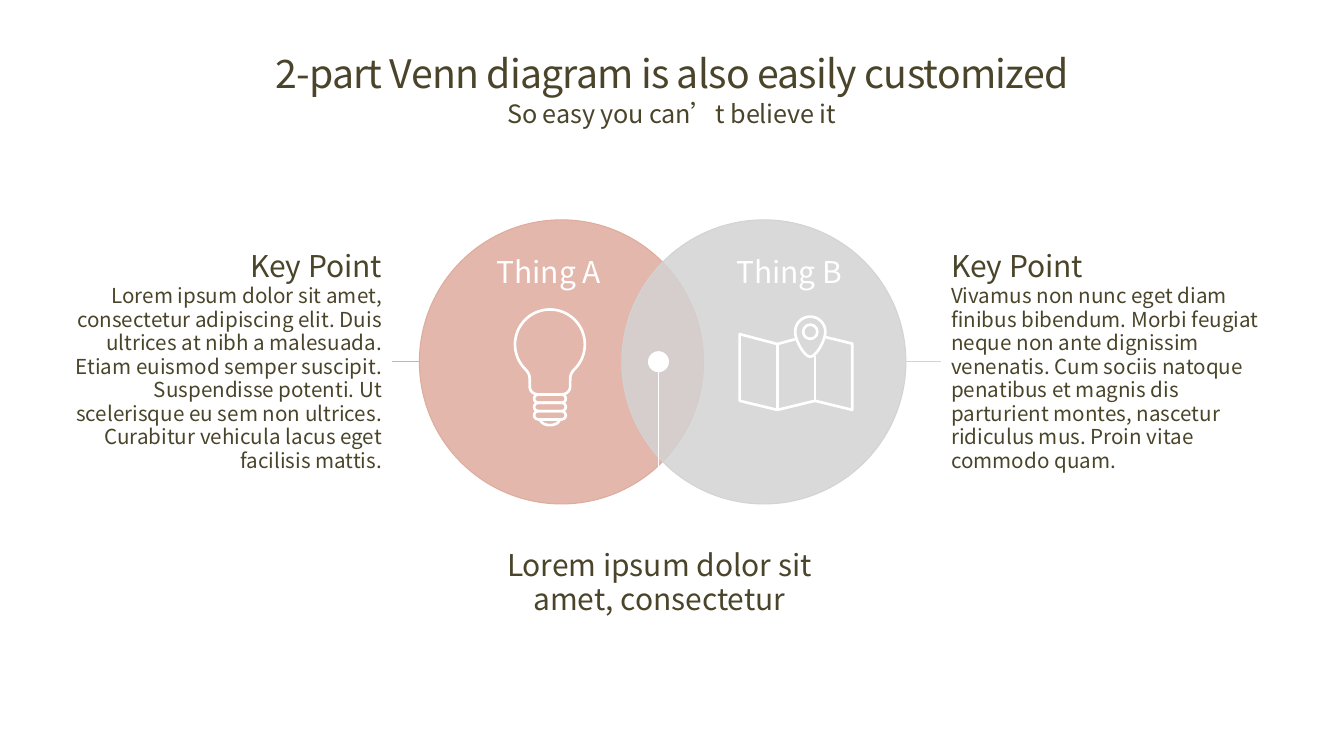
import math

from lxml import etree
from pptx import Presentation
from pptx import util as u
from pptx.dml.color import RGBColor
from pptx.enum import shapes, text
from pptx.oxml.ns import qn

OLIVE = RGBColor(0x4A, 0x45, 0x2A)
ROSE = RGBColor(0xDF, 0xAB, 0x9D)
GREY = RGBColor(0xD3, 0xD3, 0xD3)
WHITE = RGBColor(0xFF, 0xFF, 0xFF)

LEFT, CENTER, RIGHT = text.PP_ALIGN.LEFT, text.PP_ALIGN.CENTER, text.PP_ALIGN.RIGHT
TOP, MIDDLE = text.MSO_ANCHOR.TOP, text.MSO_ANCHOR.MIDDLE
OVAL = shapes.MSO_SHAPE.OVAL
PILL = shapes.MSO_SHAPE.ROUNDED_RECTANGLE


def bezier(start, control_1, control_2, end, steps=12):
    """Points along a cubic curve, without its start."""
    points = []
    for step in range(1, steps + 1):
        t = step / steps
        weights = ((1 - t) ** 3, 3 * t * (1 - t) ** 2, 3 * t * t * (1 - t), t ** 3)
        corners = (start, control_1, control_2, end)
        points.append(tuple(sum(w * c[axis] for w, c in zip(weights, corners))
                            for axis in (0, 1)))
    return points


def arc_from_top(radius, degrees, steps=30):
    """Points clockwise from the top of a circle around the origin."""
    angles = [math.radians(degrees * step / steps) for step in range(steps + 1)]
    return [(radius * math.sin(a), -radius * math.cos(a)) for a in angles]


def mirrored(right_half):
    return right_half + [(-x, y) for x, y in reversed(right_half)]


class Deck:
    """Style and current slide; all lengths are centimetres."""
    font_name = "Noto Sans CJK SC"
    hairline = u.Pt(0.75)
    icon_stroke = u.Pt(1.9)

    def __init__(self, slide):
        self.slide = slide

    def fill_text(self, frame, lines, align, color=OLIVE, anchor=TOP,
                  line_spacing=0.95, inset=None, tracking=None):
        """Fill a frame with (text, size) lines."""
        frame.word_wrap = True
        frame.vertical_anchor = anchor
        if inset is not None:
            frame.margin_left = frame.margin_right = u.Cm(inset)
            frame.margin_top = frame.margin_bottom = u.Cm(inset)
        frame.text = "\n".join(line for line, size in lines)
        for paragraph, (line, size) in zip(frame.paragraphs, lines):
            paragraph.alignment = align
            paragraph.line_spacing = line_spacing
            for run in paragraph.runs:
                run.font.size = u.Pt(size)
                run.font.name = self.font_name
                run.font.color.rgb = color
                properties = run.font._element
                etree.SubElement(properties, qn("a:ea"), typeface=self.font_name)
                if tracking:
                    properties.set("spc", str(tracking))

    def label(self, left, top, width, height, lines, align, **style):
        box = self.slide.shapes.add_textbox(*map(u.Cm, (left, top, width, height)))
        self.fill_text(box.text_frame, lines, align, **style)

    def paint(self, shape, fill, line, weight):
        shape.shadow.inherit = False
        if fill is None:
            shape.fill.background()
        else:
            shape.fill.solid()
            shape.fill.fore_color.rgb = fill
        if line is None:
            shape.line.fill.background()
        else:
            shape.line.color.rgb = line
            shape.line.width = weight

    def shape(self, kind, left, top, width, height, fill=None, line=None,
              weight=hairline, opacity=None):
        shape = self.slide.shapes.add_shape(kind, *map(u.Cm, (left, top, width, height)))
        self.paint(shape, fill, line, weight)
        if opacity:
            fill_color = shape._element.spPr.find(qn("a:solidFill"))[0]
            etree.SubElement(fill_color, qn("a:alpha"), val=str(opacity * 1000))
        return shape

    def line(self, x1, y1, x2, y2, color, weight=hairline):
        connector = self.slide.shapes.add_connector(
            shapes.MSO_CONNECTOR.STRAIGHT, *map(u.Cm, (x1, y1, x2, y2)))
        connector.line.color.rgb = color
        connector.line.width = weight
        etree.SubElement(connector._element.spPr, qn("a:effectLst"))

    def outline(self, points, origin=(0, 0), close=False):
        """White icon stroke through points given relative to an origin."""
        first, *rest = [(u.Cm(x + origin[0]), u.Cm(y + origin[1])) for x, y in points]
        builder = self.slide.shapes.build_freeform(*first)
        builder.add_line_segments(rest, close=close)
        self.paint(builder.convert_to_shape(), None, WHITE, self.icon_stroke)

    def bulb(self, x, y):
        half = arc_from_top(0.88, 135)
        half += bezier(half[-1], (0.53, 0.72), (0.51, 0.78), (0.51, 0.9))
        half += bezier((0.51, 1.05), (0.51, 1.18), (0.42, 1.26), (0.28, 1.26))
        self.outline(mirrored(half), (x, y), close=True)
        for ring in range(3):
            pill = self.shape(PILL, x - 0.4, y + 1.26 + 0.21 * ring, 0.8, 0.21,
                              line=WHITE, weight=self.icon_stroke)
            pill.adjustments[0] = 0.5
        base = [(-0.25, 1.89)]
        base += bezier(base[0], (-0.2, 2.08), (0.2, 2.08), (0.25, 1.89))
        self.outline(base, (x, y))

    def map_with_pin(self, x, y):
        """Folded map; the origin is the centre of the pin's ring."""
        fold_1, fold_2 = -0.83, 0.12
        self.outline([(-0.38, 0.19), (fold_1, 0.31), (-1.78, 0.06), (-1.78, 1.74),
                      (fold_1, 1.97), (fold_2, 1.74), (1.06, 1.97), (1.06, 0.3),
                      (0.36, 0.13)], (x, y))
        self.line(x + fold_1, y + 0.31, x + fold_1, y + 1.97, WHITE, self.icon_stroke)
        self.line(x + fold_2, y + 0.61, x + fold_2, y + 1.74, WHITE, self.icon_stroke)
        half = arc_from_top(0.38, 90)
        half += bezier(half[-1], (0.38, 0.22), (0.15, 0.63), (0, 0.63))
        self.outline(mirrored(half), (x, y), close=True)
        self.shape(OVAL, x - 0.18, y - 0.18, 0.36, 0.36, line=WHITE,
                   weight=self.icon_stroke)


def main():
    presentation = Presentation()
    presentation.slide_width, presentation.slide_height = u.Cm(33.87), u.Cm(19.05)
    deck = Deck(presentation.slides.add_slide(presentation.slide_layouts[6]))

    # Heading
    deck.label(2.54, 0.79, 28.78, 2.26,
               [("2-part Venn diagram is also easily customized", 28)], CENTER,
               anchor=MIDDLE, line_spacing=0.86, inset=0, tracking=-50)
    deck.label(2.54, 2.59, 28.78, 1.12, [("So easy you can’t believe it", 18)], CENTER,
               line_spacing=0.86, inset=0, tracking=-10)

    # Overlapping circles and their names
    for left, color in ((10.57, ROSE), (15.67, GREY)):
        deck.shape(OVAL, left, 5.54, 7.16, 7.16, fill=color, line=color, opacity=85)
    for left, name in ((11.07, "Thing A"), (17.13, "Thing B")):
        deck.label(left, 6.32, 5.52, 1.12, [(name, 21.4)], CENTER, color=WHITE)

    # Key points on both sides
    key_points = (
        (1.42, RIGHT, "Lorem ipsum dolor sit amet, consectetur adipiscing elit. Duis "
         "ultrices at nibh a malesuada. Etiam euismod semper suscipit. Suspendisse "
         "potenti. Ut scelerisque eu sem non ultrices. Curabitur vehicula lacus eget "
         "facilisis mattis."),
        (23.72, LEFT, "Vivamus non nunc eget diam finibus bibendum. Morbi feugiat neque "
         "non ante dignissim venenatis. Cum sociis natoque penatibus et magnis dis "
         "parturient montes, nascetur ridiculus mus. Proin vitae commodo quam."),
    )
    for left, align, body in key_points:
        deck.label(left, 6.17, 8.46, 5.89, [("Key Point", 21.4), (body, 14.7)], align,
                   anchor=MIDDLE)

    # Shared part: caption, dot and stem
    caption = deck.shape(shapes.MSO_SHAPE.RECTANGLE, 12.22, 13.72, 8.79, 1.98,
                         fill=WHITE, line=WHITE)
    deck.fill_text(caption.text_frame,
                   [("Lorem ipsum dolor sit amet, consectetur", 21.4)], CENTER)
    deck.shape(OVAL, 16.33, 8.85, 0.53, 0.53, fill=WHITE)
    deck.line(16.59, 9.38, 16.59, 13.72, WHITE)

    # Icons
    deck.map_with_pin(20.42, 8.36)
    deck.bulb(13.86, 8.68)

    # Lines from the circles to the key points
    deck.line(9.88, 9.12, 10.57, 9.12, ROSE)
    deck.line(23.72, 9.12, 22.83, 9.12, GREY)

    presentation.save("out.pptx")


if __name__ == "__main__":
    main()
